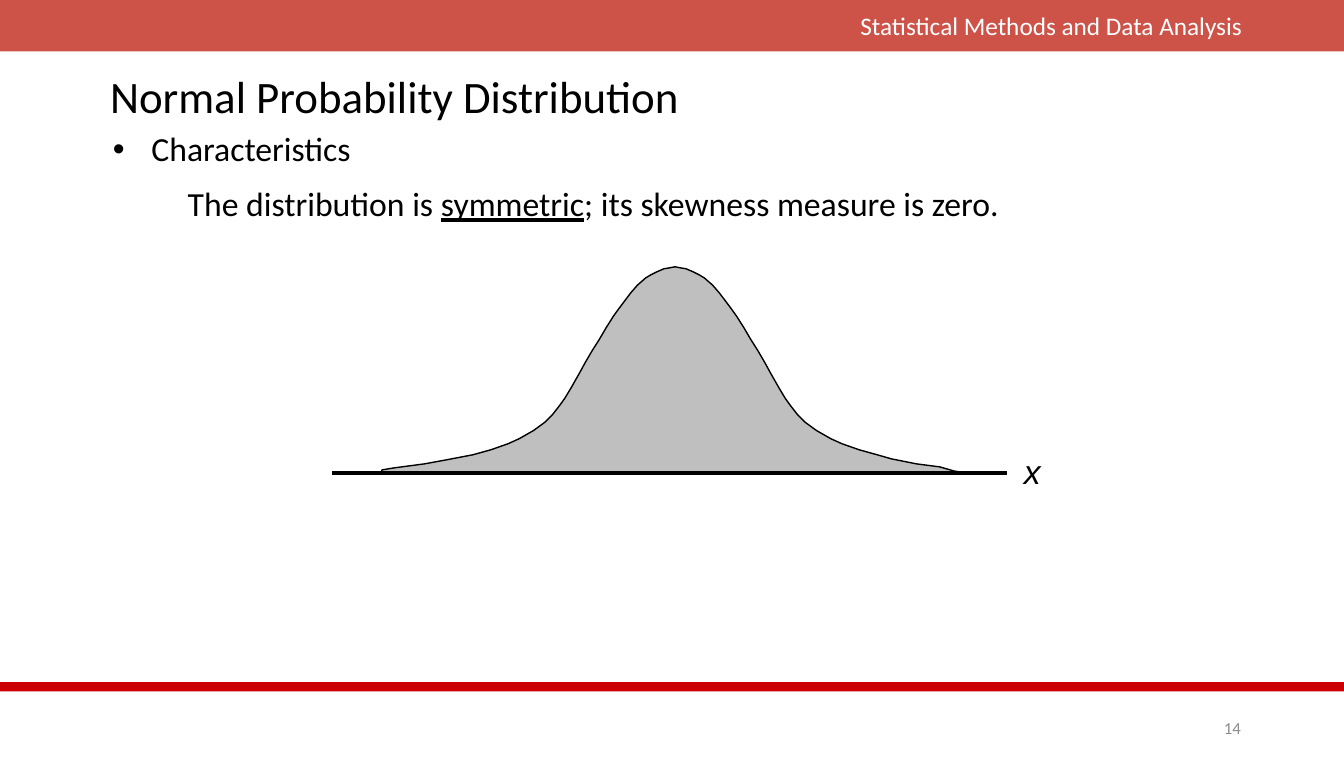
from lxml import etree
from pptx import Presentation
from pptx import util as u
from pptx.dml.color import RGBColor
from pptx.enum import shapes, text
from pptx.oxml import ns

theme = {
    "font": "Calibri", "axis font": "Arial",
    "black": RGBColor(0, 0, 0), "white": RGBColor(255, 255, 255),
    "band": RGBColor(0xBF, 0x23, 0x17), "rule": RGBColor(0xCC, 0, 0),
    "curve": RGBColor(0xBF, 0xBF, 0xBF), "number": RGBColor(0x8C, 0x8C, 0x8C),
    "title": 32, "body": 24, "header": 18, "small": 12,
}
LEFT, CENTER, RIGHT = text.PP_ALIGN.LEFT, text.PP_ALIGN.CENTER, text.PP_ALIGN.RIGHT
TOP, MIDDLE = text.MSO_ANCHOR.TOP, text.MSO_ANCHOR.MIDDLE

presentation = Presentation()
presentation.slide_width, presentation.slide_height = u.Inches(13.3), u.Inches(7.5)
slide = presentation.slides.add_slide(presentation.slide_layouts[5])


def grid(*lengths):
    """Turn percentages of the slide, across and down in turn, into lengths."""
    sides = (presentation.slide_width, presentation.slide_height)
    return [u.Emu(int(length * sides[i % 2] / 100)) for i, length in enumerate(lengths)]


def write(words, box, size="body", color="black", font="font", align=LEFT, anchor=TOP,
          wrap=True, italic=False, underlined="", shape=None):
    """Write words in a box, underlining one of them if asked."""
    shape = shape or slide.shapes.add_textbox(0, 0, 0, 0)
    shape.left, shape.top, shape.width, shape.height = grid(*box)
    frame = shape.text_frame
    frame.auto_size = text.MSO_AUTO_SIZE.NONE
    frame.word_wrap, frame.vertical_anchor = wrap, anchor
    paragraph = frame.paragraphs[0]
    paragraph.alignment = align
    for part in words.partition(underlined) if underlined else [words]:
        run = paragraph.add_run()
        run.text = part
        run.font.name, run.font.size = theme[font], u.Pt(theme[size])
        run.font.color.rgb = theme[color]
        run.font.italic = italic
        run.font.underline = bool(underlined) and part == underlined
    return paragraph


# Header band and footer rule
for box, color in (((0, 0, 100, 6.8), "band"), ((0, 90, 100, 1.2), "rule")):
    bar = slide.shapes.add_shape(shapes.MSO_SHAPE.RECTANGLE, *grid(*box))
    bar.shadow.inherit = False
    bar.fill.solid()
    bar.fill.fore_color.rgb = theme[color]
    bar.line.fill.background()
    if color == "band":
        tint = bar.fill._xPr.find(".//" + ns.qn("a:srgbClr"))
        etree.SubElement(tint, ns.qn("a:alpha"), val="78000")

# Text
write("Statistical Methods and Data Analysis", (50.15, 0.67, 43.01, 5.33),
      size="header", color="white", align=RIGHT)
title = write("Normal Probability Distribution", (7.44, 9.2, 85.04, 8.4),
              size="title", shape=slide.shapes.title)
title.line_spacing = 0.9
write("The distribution is symmetric; its skewness measure is zero.",
      (13.23, 21.6, 78.5, 10.4), anchor=MIDDLE, wrap=False, underlined="symmetric")
bullet = write("Characteristics", (7.67, 16.27, 36.09, 7.6))
properties = bullet._p.get_or_add_pPr()
properties.set("marL", str(u.Inches(0.38)))
properties.set("indent", str(u.Inches(-0.38)))
etree.SubElement(properties, ns.qn("a:buFont"), typeface="Arial")
etree.SubElement(properties, ns.qn("a:buChar"), char="•")

# Bell curve: distances from the peak, in hundredths of an inch
half = [(0, 0), (5, 1), (11, 2), (18, 5), (24, 8), (29, 11), (37, 18), (44, 26), (50, 34),
        (56, 42), (61, 49), (68, 60), (75, 72), (82, 83), (89, 95), (95, 106), (103, 120),
        (109, 130), (114, 137), (121, 146), (129, 154), (140, 162), (154, 170), (165, 175),
        (182, 181), (200, 186)]
left_tail = [(-226, 191), (-248, 195), (-278, 199), (-290, 201), (-291, 204)]
right_tail = [(214, 190), (239, 195), (262, 198), (276, 202), (282, 203)]
outline = [(-x, y) for x, y in half] + left_tail + right_tail[::-1] + half[:0:-1]
builder = slide.shapes.build_freeform(*outline[0], scale=u.Inches(0.01))
builder.add_line_segments(outline[1:], close=True)
curve = builder.convert_to_shape(*grid(50.23, 35.2))
curve.shadow.inherit = False
curve.fill.solid()
curve.fill.fore_color.rgb = theme["curve"]
curve.line.color.rgb, curve.line.width = theme["black"], u.Pt(1)

# Axis and its label
axis = slide.shapes.add_connector(shapes.MSO_CONNECTOR.STRAIGHT, *grid(24.74, 62.4, 74.96, 62.4))
axis.line.color.rgb, axis.line.width = theme["black"], u.Pt(2.25)
etree.SubElement(axis._element.spPr, ns.qn("a:effectLst"))
write("x", (75.41, 58.8, 2.78, 6.67), font="axis font", align=CENTER, wrap=False, italic=True)

# Slide number
write("14", (87.97, 94, 5.11, 4), size="small", color="number", align=RIGHT, anchor=MIDDLE)

presentation.save("out.pptx")
